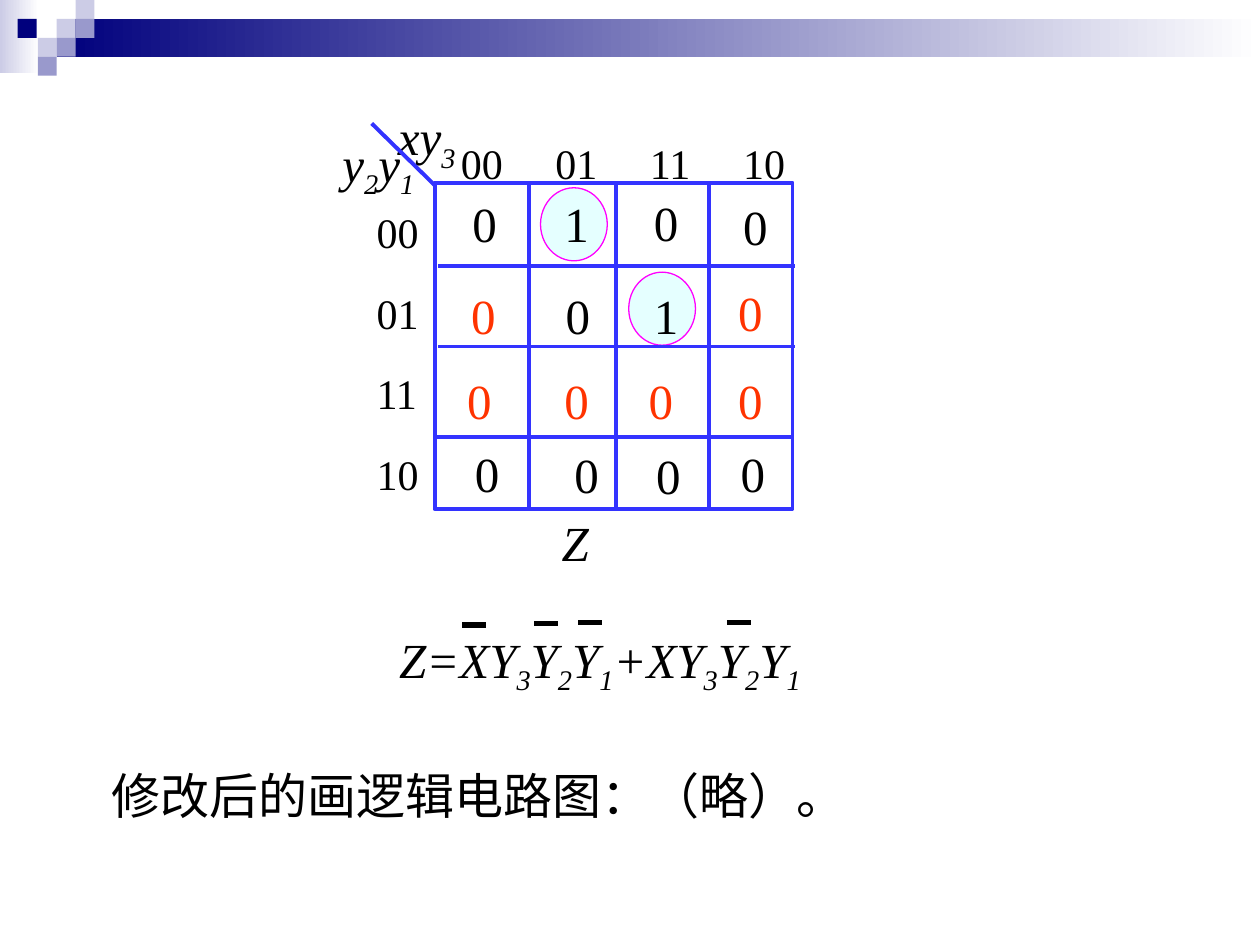
import itertools

import lxml.etree
import pptx
import pptx.dml.color
import pptx.enum.dml
import pptx.enum.shapes
import pptx.enum.text
import pptx.oxml.ns
import pptx.util

Inches = pptx.util.Inches
Pt = pptx.util.Pt
RGBColor = pptx.dml.color.RGBColor
MSO_SHAPE = pptx.enum.shapes.MSO_SHAPE
qn = pptx.oxml.ns.qn

WHITE = RGBColor(0xFF, 0xFF, 0xFF)
BLACK = RGBColor(0x00, 0x00, 0x00)
NAVY = RGBColor(0x00, 0x00, 0x7D)
LAVENDER = RGBColor(0xCC, 0xCC, 0xE6)
PERIWINKLE = RGBColor(0x99, 0x99, 0xCC)
BLUE = RGBColor(0x33, 0x33, 0xFF)
RED = RGBColor(0xFF, 0x33, 0x00)
MAGENTA = RGBColor(0xFF, 0x00, 0xFF)
PALE_CYAN = RGBColor(0xCC, 0xFF, 0xFF)


class SlideBuilder:
    font_name = "Times New Roman"
    frame = {
        "margin_left": Inches(0.1),
        "margin_right": Inches(0.1),
        "margin_top": Inches(0.05),
        "margin_bottom": Inches(0.05),
        "auto_size": pptx.enum.text.MSO_AUTO_SIZE.NONE,
    }

    def __init__(self, slide):
        self.s = slide

    def apply(self, target, values):
        for name, value in values.items():
            setattr(target, name, value)

    def shape(self, kind, left, top, width, height, fill=None, line=None,
              weight=1, alpha=None, fade=False):
        sp = self.s.shapes.add_shape(
            kind, Inches(left), Inches(top), Inches(width), Inches(height))
        sp.shadow.inherit = False
        if fill is None:
            sp.fill.background()
        elif fade:
            sp.fill.gradient()
            sp.fill.gradient_angle = 180
            for stop, color, position in zip(
                    sp.fill.gradient_stops, (WHITE, fill), (0, 1)):
                stop.color.rgb = color
                stop.position = position
        else:
            sp.fill.solid()
            sp.fill.fore_color.rgb = fill
        if alpha is not None:
            color = sp._element.spPr.find(qn("a:solidFill"))[0]
            lxml.etree.SubElement(color, qn("a:alpha")).set("val", str(alpha * 1000))
        if line is None:
            sp.line.fill.background()
        else:
            sp.line.color.rgb = line
            sp.line.width = Pt(weight)
        return sp

    def line(self, x1, y1, x2, y2, color=BLUE, weight=2.25):
        cx = self.s.shapes.add_connector(
            pptx.enum.shapes.MSO_CONNECTOR.STRAIGHT,
            Inches(x1), Inches(y1), Inches(x2), Inches(y2))
        cx.line.color.rgb = color
        cx.line.width = Pt(weight)
        lxml.etree.SubElement(cx._element.spPr, qn("a:effectLst"))
        return cx

    def text(self, lines, left, top, width, height, size=28, color=BLACK,
             formula=False, spacing=None, tabs=(), wrap=False):
        tb = self.s.shapes.add_textbox(
            Inches(left), Inches(top), Inches(width), Inches(height))
        tf = tb.text_frame
        self.apply(tf, {**self.frame, "word_wrap": wrap})
        for i, content in enumerate(lines):
            p = tf.paragraphs[0] if i == 0 else tf.add_paragraph()
            if spacing:
                p.line_spacing = spacing
            if tabs:
                tab_list = lxml.etree.SubElement(p._p.get_or_add_pPr(), qn("a:tabLst"))
                for stop in tabs:
                    tab = lxml.etree.SubElement(tab_list, qn("a:tab"))
                    tab.set("pos", str(Inches(stop)))
                    tab.set("algn", "l")
            parts = itertools.groupby(content, lambda c: formula and c.isdigit())
            for subscript, chars in parts:
                r = p.add_run()
                r.text = "".join(chars)
                self.apply(r.font, {"size": Pt(size), "name": self.font_name,
                                    "italic": formula})
                r.font.color.rgb = color
                if subscript:
                    r._r.get_or_add_rPr().set("baseline", "-25000")
        return tb


def draw_header(b):
    b.shape(MSO_SHAPE.RECTANGLE, 0, 0, 0.31, 0.58, LAVENDER, fade=True)
    b.shape(MSO_SHAPE.RECTANGLE, 0.45, 0.15, 9.55, 0.3, NAVY, fade=True)
    squares = [
        (0.45, 0.15, LAVENDER), (0.6, 0, LAVENDER), (0.6, 0.15, PERIWINKLE),
        (0.3, 0.3, LAVENDER), (0.14, 0.15, NAVY), (0.45, 0.3, PERIWINKLE),
        (0.3, 0.45, PERIWINKLE),
    ]
    for left, top, color in squares:
        b.shape(MSO_SHAPE.RECTANGLE, left, top, 0.15, 0.15, color)


def draw_map(b):
    for left, top in ((4.99, 2.16), (4.29, 1.49)):
        b.shape(MSO_SHAPE.OVAL, left, top, 0.53, 0.58, PALE_CYAN, MAGENTA, 0.75, alpha=50)
    b.text(["00\t01\t11\t10"], 3.56, 1.04, 2.9, 0.5, size=24,
           tabs=[0.75, 1.5, 2.24], wrap=True)
    b.text(["00", "01", "11", "10"], 2.89, 1.35, 0.59, 2.66, size=24,
           spacing=1.6, wrap=True)
    b.text(["xy3"], 3.06, 0.8, 0.66, 0.63, formula=True)
    b.text(["y2y1"], 2.62, 1.01, 0.77, 0.63, formula=True)
    b.shape(MSO_SHAPE.RECTANGLE, 3.45, 1.45, 2.84, 2.59, line=BLUE, weight=2.25)
    for x in (4.2, 4.89, 5.63):
        b.line(x, 1.45, x, 4.04)
    for left, y in ((3.48, 2.11), (3.48, 2.75), (3.45, 3.47)):
        b.line(left, y, left + 2.83, y)
    b.line(2.95, 0.98, 3.45, 1.47)
    cells = [
        ("0", 3.65, 1.49, BLACK), ("1", 4.38, 1.49, BLACK),
        ("0", 5.09, 1.48, BLACK), ("0", 5.8, 1.51, BLACK),
        ("0", 3.64, 2.22, RED), ("0", 4.39, 2.22, BLACK),
        ("1", 5.09, 2.22, BLACK), ("0", 5.76, 2.19, RED),
        ("0", 3.61, 2.89, RED), ("0", 4.38, 2.89, RED),
        ("0", 5.05, 2.89, RED), ("0", 5.76, 2.89, RED),
        ("0", 3.67, 3.47, BLACK), ("0", 4.46, 3.48, BLACK),
        ("0", 5.11, 3.49, BLACK), ("0", 5.78, 3.47, BLACK),
    ]
    for value, left, top, color in cells:
        b.text([value], left, top, 0.39, 0.57, color=color)
    b.text(["Z"], 4.36, 4.02, 0.41, 0.57, formula=True)


def draw_equation(b):
    b.text(["Z=XY3Y2Y1+XY3Y2Y1"], 3.07, 4.68, 3.38, 0.9, formula=True, spacing=1.5)
    for left, y in ((3.67, 4.96), (4.24, 4.95), (4.59, 4.94), (5.77, 4.94)):
        b.line(left, y, left + 0.19, y, BLACK, 3)
    b.text(["修改后的画逻辑电路图：（略）。"], 0.79, 6.03, 6.02, 0.57)


def main():
    prs = pptx.Presentation()
    prs.slide_width = Inches(10)
    prs.slide_height = Inches(7.5)
    b = SlideBuilder(prs.slides.add_slide(prs.slide_layouts[6]))
    draw_header(b)
    draw_map(b)
    draw_equation(b)
    prs.save("out.pptx")


if __name__ == "__main__":
    main()
